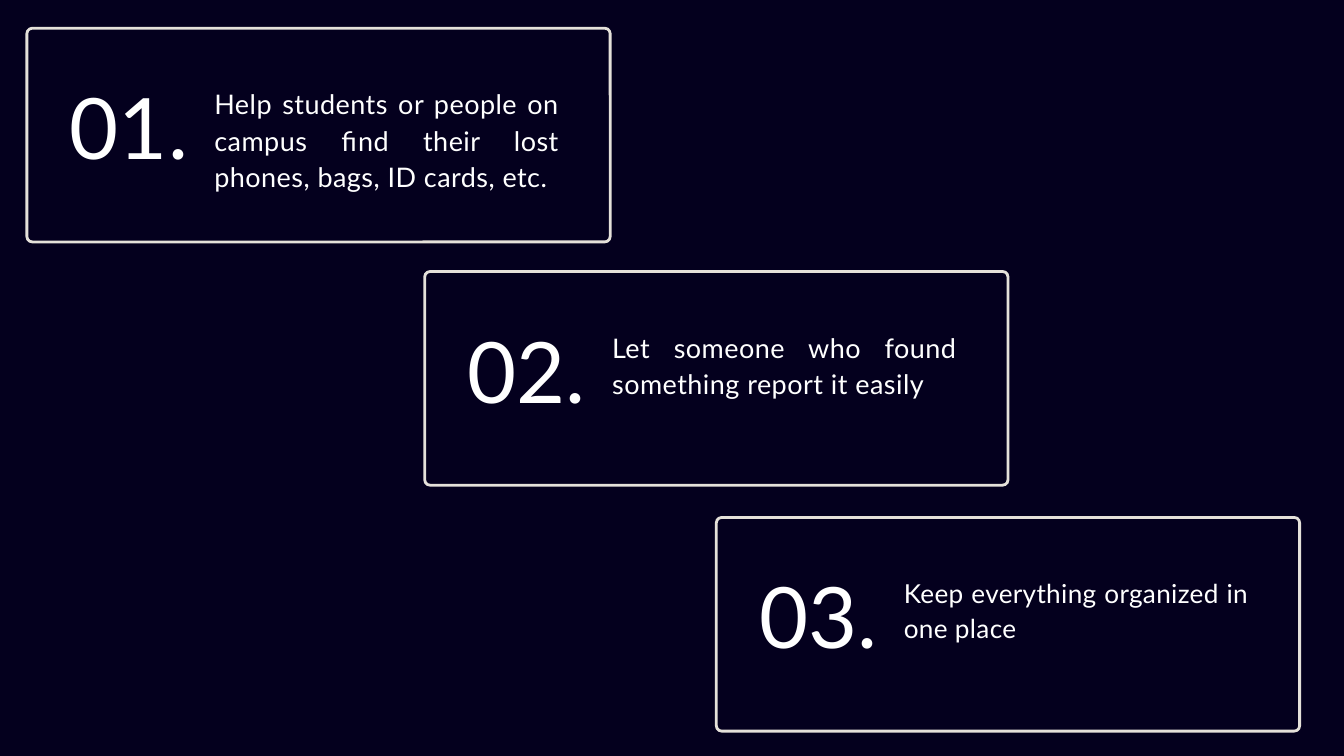
from dataclasses import dataclass

from pptx import Presentation
from pptx.dml.color import RGBColor
from pptx.enum.shapes import MSO_SHAPE as Shape
from pptx.enum.text import MSO_AUTO_SIZE as AutoSize, PP_ALIGN as Align
from pptx.util import Emu, Pt

EMU_PER_PX = 9144  # 100 px to the inch


@dataclass(frozen=True)
class TextStyle:
    size: float
    leading: float
    tracking: float = 0
    align: Align = Align.LEFT


@dataclass(frozen=True)
class Theme:
    font: str = "Lato"
    background: RGBColor = RGBColor(0x04, 0x00, 0x1E)
    border: RGBColor = RGBColor(0xE5, 0xE1, 0xDA)
    text: RGBColor = RGBColor(0xFF, 0xFF, 0xFF)
    border_width: float = 3
    number: TextStyle = TextStyle(90.7, 87.1)
    goal: TextStyle = TextStyle(28.9, 39, 0.5, Align.JUSTIFY)
    compact_goal: TextStyle = TextStyle(28, 37.8, 0.4, Align.JUSTIFY)


def px(*lengths):
    return [Emu(length * EMU_PER_PX) for length in lengths]


class SlideBuilder:
    def __init__(self, page, theme):
        self.page = page
        self.theme = theme

    def background(self):
        fill = self.page.background.fill
        fill.solid()
        fill.fore_color.rgb = self.theme.background

    def frame(self, shapes, left, top, width, height, radius):
        frame = shapes.add_shape(Shape.ROUNDED_RECTANGLE, *px(left, top, width, height))
        frame.adjustments[0] = radius / min(width, height)
        frame.shadow.inherit = False
        frame.fill.solid()
        frame.fill.fore_color.rgb = self.theme.background
        frame.line.color.rgb = self.theme.border
        frame.line.width = Pt(self.theme.border_width)

    def text(self, shapes, text, left, top, width, height, style):
        box = shapes.add_textbox(*px(left, top, width, height))
        frame = box.text_frame
        frame.word_wrap = True
        frame.auto_size = AutoSize.SHAPE_TO_FIT_TEXT
        frame.margin_left = frame.margin_top = frame.margin_right = frame.margin_bottom = 0
        frame.text = text
        para = frame.paragraphs[0]
        para.alignment = style.align
        para.line_spacing = Pt(style.leading)
        span = para.runs[0]
        span.font.name = self.theme.font
        span.font.size = Pt(style.size)
        span.font.color.rgb = self.theme.text
        if style.tracking:
            span._r.get_or_add_rPr().set("spc", str(round(style.tracking * 100)))

    def card(self, number, goal, left, top, goal_height, goal_style):
        shapes = self.page.shapes.add_group_shape().shapes
        self.frame(shapes, left, top, 868, 318, radius=8)
        self.text(shapes, f"{number:02}.", left + 64, top + 100, 196, 134, self.theme.number)
        self.text(shapes, goal, left + 279, top + 83, 513, goal_height, goal_style)


def main():
    deck = Presentation()
    deck.slide_width, deck.slide_height = px(2000, 1125)
    page = deck.slides.add_slide(deck.slide_layouts[6])
    theme = Theme()
    builder = SlideBuilder(page, theme)
    builder.background()

    # Goal cards stepping down to the right: text, left, top, text height, style
    cards = [
        ("Help students or people on campus find their lost phones, bags, ID cards, etc.",
         40, 42, 157, theme.goal),
        ("Let someone who found something report it easily",
         632, 404, 103, theme.goal),
        ("Keep everything organized in one place",
         1066, 770, 154, theme.compact_goal),
    ]
    for number, card in enumerate(cards, start=1):
        builder.card(number, *card)

    deck.save("out.pptx")


if __name__ == "__main__":
    main()
